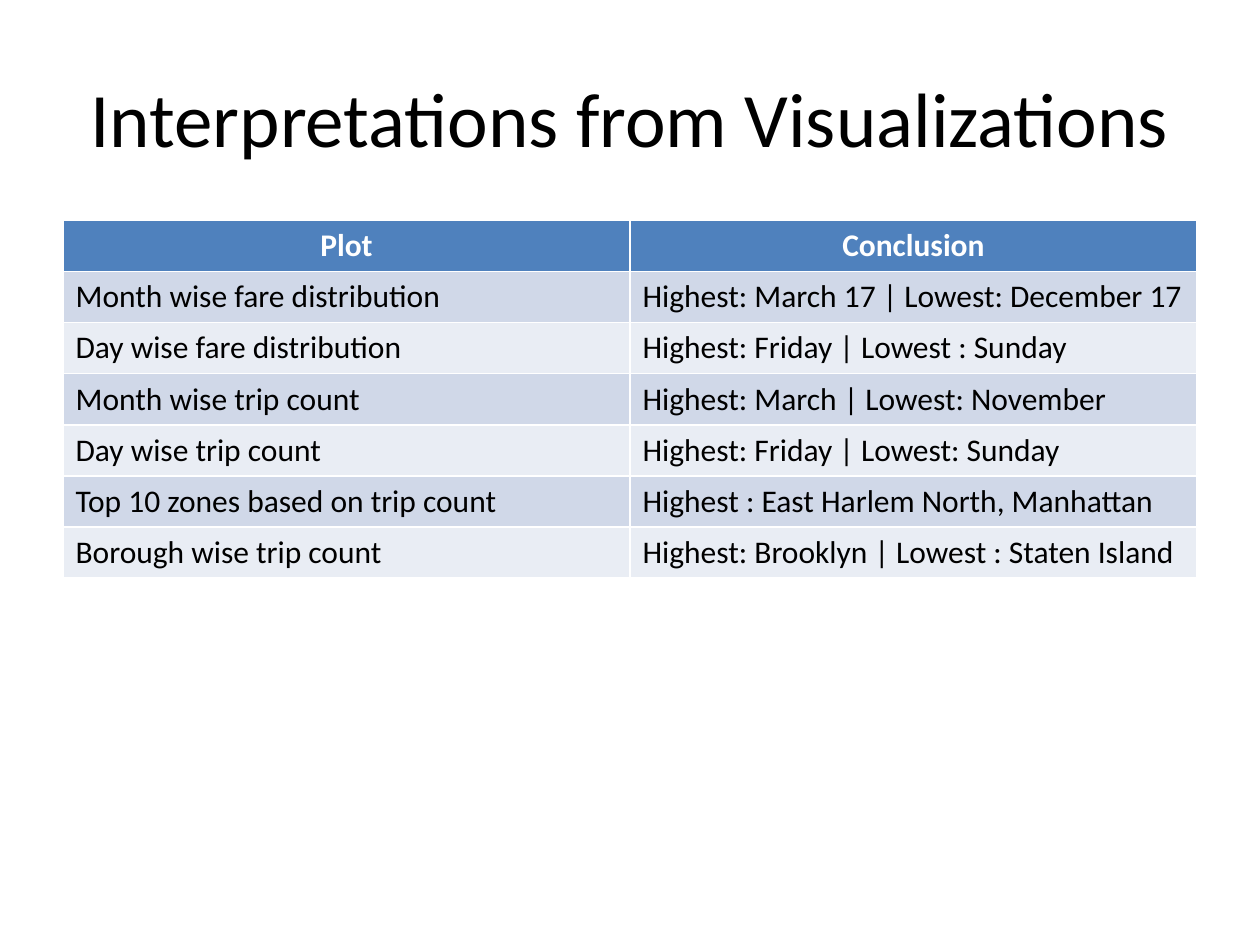
from pptx import Presentation
from pptx.dml.color import RGBColor
from pptx.enum.text import MSO_ANCHOR as Anchor, PP_ALIGN as Align
from pptx.util import Inches, Pt

COLORS = {
    "text": "000000",
    "header_text": "FFFFFF",
    "header": "4F81BD",
    "odd_row": "D0D8E8",
    "even_row": "E9EDF4",
}
FONT = "Calibri"
SLIDE_WIDTH, SLIDE_HEIGHT = Inches(10), Inches(7.5)
TITLE_BOX = (0.05, 0.04, 0.9, 1 / 6)
TABLE_BOX = (0.05, 0.2333, 0.9, 0.3785)
FINDINGS = [
    ("Plot", "Conclusion"),
    ("Month wise fare distribution", "Highest: March 17 | Lowest: December 17"),
    ("Day wise fare distribution", "Highest: Friday | Lowest : Sunday"),
    ("Month wise trip count", "Highest: March | Lowest: November"),
    ("Day wise trip count", "Highest: Friday | Lowest: Sunday"),
    ("Top 10 zones based on trip count", "Highest : East Harlem North, Manhattan"),
    ("Borough wise trip count", "Highest: Brooklyn | Lowest : Staten Island"),
]


def place(box):
    left, top, width, height = box
    return (
        round(left * SLIDE_WIDTH),
        round(top * SLIDE_HEIGHT),
        round(width * SLIDE_WIDTH),
        round(height * SLIDE_HEIGHT),
    )


def write(frame, text, size, color, align, bold=False):
    paragraph = frame.paragraphs[0]
    paragraph.text = text
    paragraph.alignment = align
    font = paragraph.font
    font.name, font.size, font.bold = FONT, Pt(size), bold
    font.color.rgb = RGBColor.from_string(COLORS[color])


def add_title(slide, box, text):
    frame = slide.shapes.add_textbox(*place(box)).text_frame
    frame.word_wrap = True
    frame.vertical_anchor = Anchor.MIDDLE
    write(frame, text, 44, "text", Align.CENTER)


def add_findings_table(slide, box, rows):
    table = slide.shapes.add_table(len(rows), len(rows[0]), *place(box)).table
    for row_index, row in enumerate(rows):
        is_header = row_index == 0
        fill = "header" if is_header else "odd_row" if row_index % 2 else "even_row"
        color = "header_text" if is_header else "text"
        align = Align.CENTER if is_header else Align.LEFT
        for column_index, text in enumerate(row):
            cell = table.cell(row_index, column_index)
            cell.fill.solid()
            cell.fill.fore_color.rgb = RGBColor.from_string(COLORS[fill])
            write(cell.text_frame, text, 18, color, align, is_header)


def main():
    presentation = Presentation()
    presentation.slide_width = SLIDE_WIDTH
    presentation.slide_height = SLIDE_HEIGHT
    slide = presentation.slides.add_slide(presentation.slide_layouts[6])
    add_title(slide, TITLE_BOX, "Interpretations from Visualizations")
    add_findings_table(slide, TABLE_BOX, FINDINGS)
    presentation.save("out.pptx")


if __name__ == "__main__":
    main()
